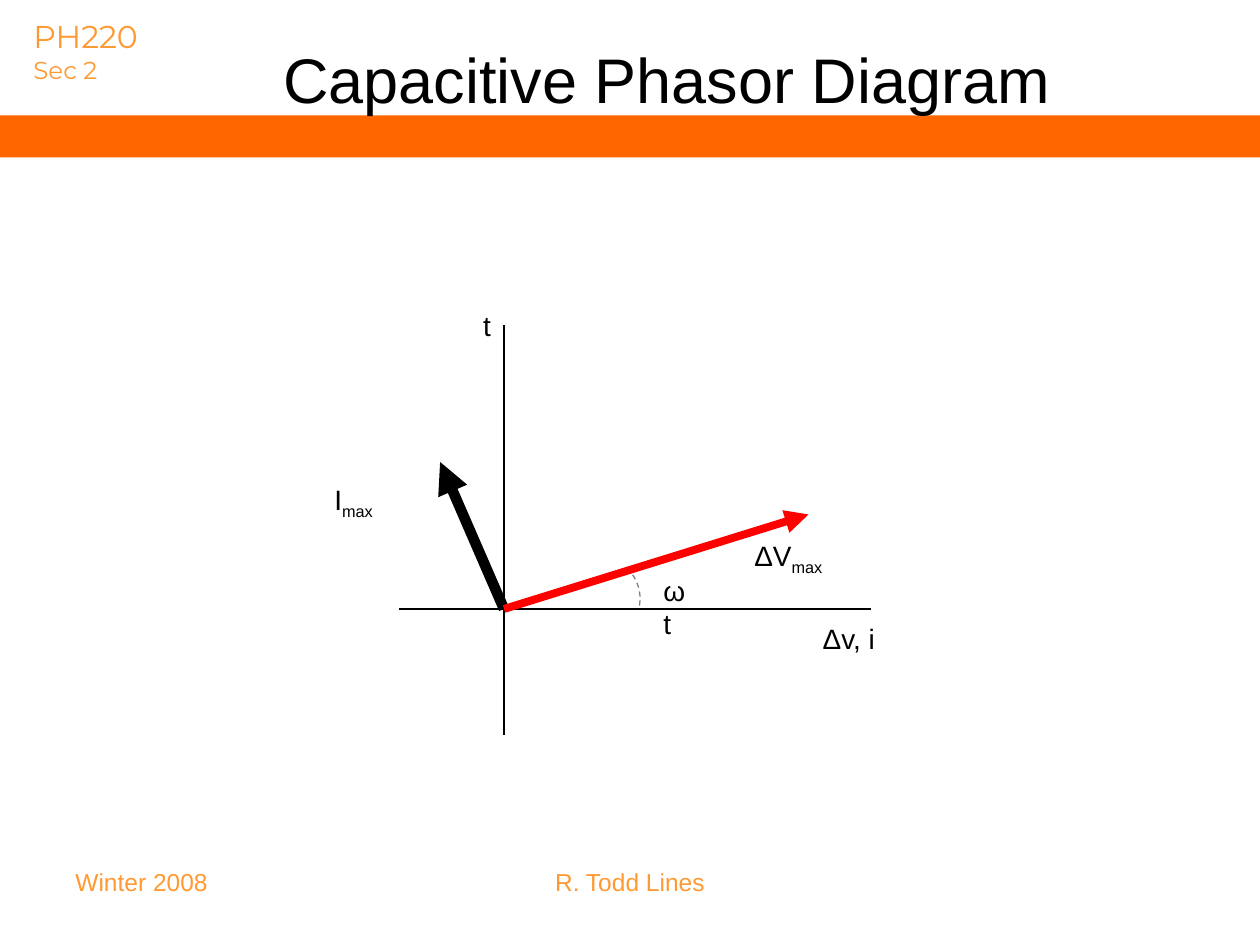
"""Build the capacitive phasor diagram slide."""
import math

from lxml import etree
from pptx import Presentation
from pptx import util as u
from pptx.dml.color import RGBColor
from pptx.enum import dml, shapes, text
from pptx.oxml.ns import qn

COLORS = {
    "black": "000000",
    "red": "FF0000",
    "gray": "808080",
    "bar": "FF6600",
    "accent": "FF9933",
}
LEFT, CENTER = text.PP_ALIGN.LEFT, text.PP_ALIGN.CENTER
ORIGIN = (288, 348)


def rgb(name):
    return RGBColor.from_string(COLORS[name])


def add_text(parent, box, lines, size=16, color="black", font="Arial",
             align=LEFT, anchor=text.MSO_ANCHOR.TOP, wrap=True):
    """Add lines of (text, subscript, size); missing parts take defaults."""
    sp = parent.add_textbox(*map(u.Pt, box))
    tf = sp.text_frame
    tf.word_wrap = wrap
    tf.vertical_anchor = anchor
    for i, (words, subscript, line_size) in enumerate(lines):
        p = tf.add_paragraph() if i else tf.paragraphs[0]
        p.alignment = align
        p.font.size = u.Pt(line_size or size)
        p.font.name = font
        p.font.color.rgb = rgb(color)
        p.add_run().text = words
        if subscript:
            r = p.add_run()
            r.text = subscript
            r.font._element.set("baseline", "-25000")
    return sp


def add_bar(parent, box):
    sp = parent.add_shape(shapes.MSO_SHAPE.RECTANGLE, *map(u.Pt, box))
    sp.shadow.inherit = False
    sp.fill.solid()
    sp.fill.fore_color.rgb = rgb("bar")
    sp.line.fill.background()


def add_line(parent, start, end, width=1.5, color="black", arrow=False):
    ends = map(u.Pt, (*start, *end))
    c = parent.add_connector(shapes.MSO_CONNECTOR.STRAIGHT, *ends)
    c.line.width = u.Pt(width)
    c.line.color.rgb = rgb(color)
    if arrow:
        ln = c.line._get_or_add_ln()
        etree.SubElement(ln, qn("a:tailEnd"), type="triangle")
    etree.SubElement(c._element.spPr, qn("a:effectLst"))


def add_arc(parent, center, radii, first, last, steps=16):
    """Add an open dashed arc between two angles in degrees."""
    angles = [math.radians(first + (last - first) * i / steps)
              for i in range(steps + 1)]
    points = [(u.Pt(center[0] + radii[0] * math.cos(a)),
               u.Pt(center[1] + radii[1] * math.sin(a))) for a in angles]
    builder = parent.build_freeform(*points[0])
    builder.add_line_segments(points[1:], close=False)
    sp = builder.convert_to_shape()
    sp.shadow.inherit = False
    sp.fill.background()
    sp.line.color.rgb = rgb("gray")
    sp.line.width = u.Pt(0.75)
    sp.line.dash_style = dml.MSO_LINE.DASH


def add_diagram(parent):
    add_line(parent, (288, 186), (288, 420))
    add_line(parent, (228, 348), (498, 348))
    add_line(parent, ORIGIN, (251.5, 264), 6, arrow=True)
    add_line(parent, ORIGIN, (462, 294), 4.5, "red", arrow=True)
    add_arc(parent, (329.75, 342), (36, 28.8), -28, 10)
    labels = [
        ((424, 304, 55.5, 26.5), "ΔV", "max", True),
        ((372, 324, 30, 26.5), "ω" "t", None, True),
        ((269, 173, 19, 26.5), "t", None, False),
        ((463, 351.5, 44.5, 26.5), "Δv, i", None, False),
        ((184, 272, 55.5, 26.5), "I", "max", True),
    ]
    for box, words, subscript, wrap in labels:
        add_text(parent, box, [(words, subscript, None)], wrap=wrap)


def main():
    prs = Presentation()
    prs.slide_width, prs.slide_height = u.Pt(720), u.Pt(540)
    s = prs.slides.add_slide(prs.slide_layouts[6])
    add_text(s.shapes, (12, 6, 78.5, 45.5),
             [("PH220", None, 18), ("Sec 2", None, 14)],
             color="accent", font="Montserrat", wrap=False)
    add_bar(s.shapes, (0, 66, 726, 24))
    add_text(s.shapes, (36, 492, 168, 37.5), [("Winter 2008", None, 14)],
             color="accent")
    add_text(s.shapes, (246, 492, 228, 37.5), [("R. Todd Lines", None, 14)],
             color="accent", align=CENTER)
    add_text(s.shapes, (126, 0, 510, 90),
             [("Capacitive Phasor Diagram", None, 36)],
             align=CENTER, anchor=text.MSO_ANCHOR.MIDDLE)
    add_diagram(s.shapes.add_group_shape().shapes)
    prs.save("out.pptx")


if __name__ == "__main__":
    main()
